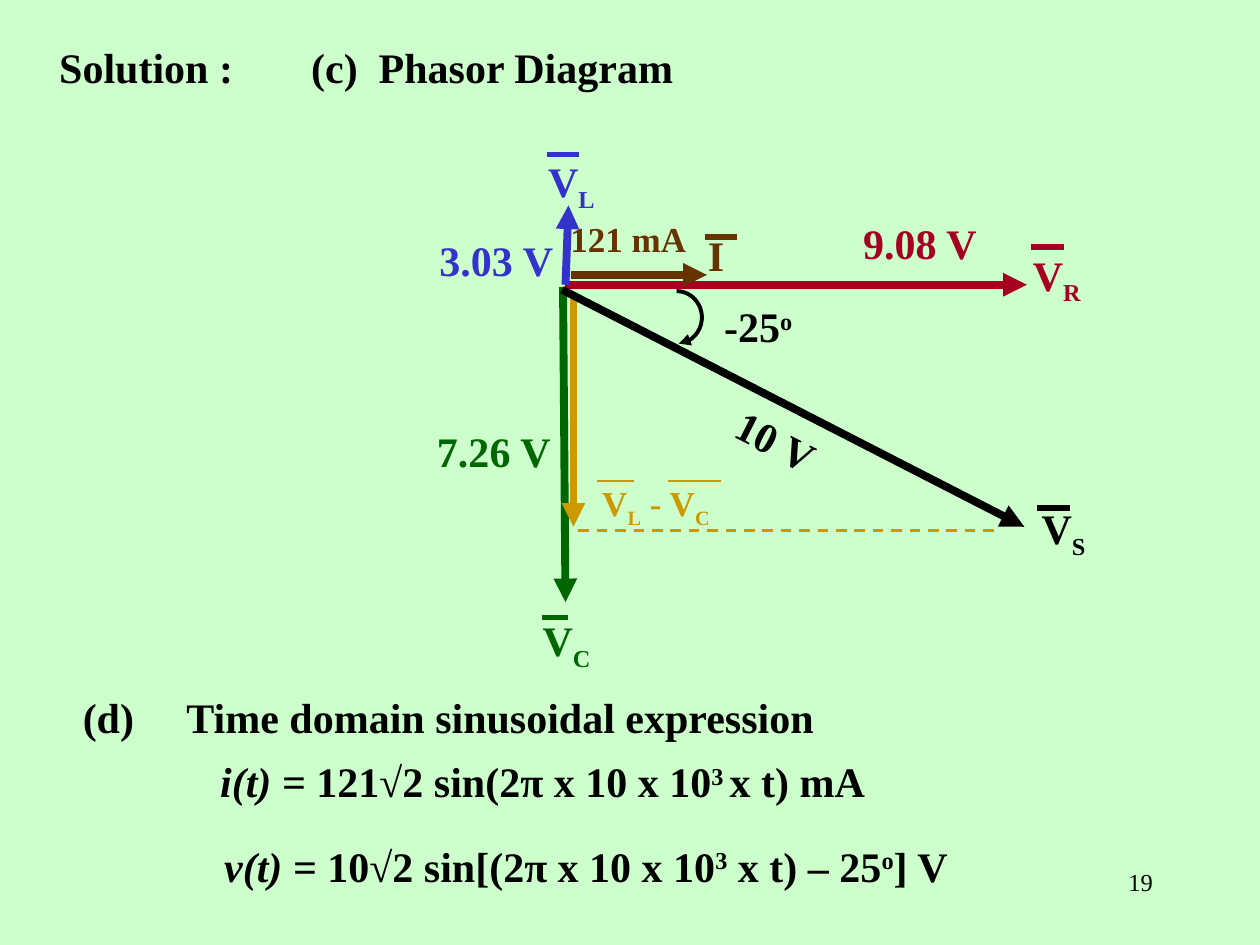
from dataclasses import dataclass
from math import cos, radians, sin
from typing import Optional

from pptx import Presentation
from pptx.dml.color import RGBColor
from pptx.enum.dml import MSO_LINE
from pptx.enum.text import MSO_ANCHOR, PP_ALIGN
from pptx.oxml.ns import qn
from pptx.util import Cm, Pt
from lxml.etree import SubElement

BLACK, RED, GREEN, BLUE = "000000", "A50021", "006600", "3333CC"
BROWN, GOLD = "663300", "CC9900"
SUBSCRIPT, SUPERSCRIPT = -25000, 30000
Place = tuple[float, float, float, float]


@dataclass
class Span:
    text: str
    baseline: int = 0
    italic: bool = False


@dataclass
class Phasor:
    color: str
    arrow: Place
    bar: Place
    name: str
    subscript: str
    name_place: Place
    magnitude: str
    magnitude_place: Place
    magnitude_size: int = 24
    rotation: float = 0


PHASORS = [
    Phasor(RED, (11.38, 5.74, 20.7, 5.74), (20.78, 4.98, 21.44, 4.98),
           "V", "R", (20.57, 4.9, 2.39, 1.6), "9.08 V", (17.15, 4.27, 3.33, 1.27)),
    Phasor(GREEN, (11.35, 5.79, 11.4, 12.14), (10.92, 12.45, 11.46, 12.45),
           "V", "C", (10.69, 12.27, 1.88, 1.63), "7.26 V", (8.56, 8.46, 3.25, 1.27)),
    Phasor(BLUE, (11.4, 5.74, 11.46, 4.14), (11.02, 3.12, 11.68, 3.12),
           "V", "L", (10.8, 3.02, 2.24, 1.63), "3.03 V", (8.61, 4.6, 2.87, 1.27)),
    Phasor(BROWN, (11.51, 5.54, 14.25, 5.54), (14.22, 4.78, 14.86, 4.78),
           "I", "", (14.02, 4.5, 0.97, 1.45), "121 mA", (11.25, 4.27, 3.84, 1.09), 20),
    Phasor(BLACK, (11.33, 5.84, 20.65, 10.62), (20.9, 10.24, 21.56, 10.24),
           "V", "S", (20.75, 10.01, 2.18, 1.45), "10 V", (14.3, 8.66, 4.14, 1.98), 24, 27),
]


def rgb(value: str) -> RGBColor:
    return RGBColor.from_string(value)


def write(box, spans: list[Span], color: str = BLACK, size: int = 24,
          bold: bool = True, align=PP_ALIGN.LEFT, wrap: bool = True) -> None:
    frame = box.text_frame
    frame.word_wrap = wrap
    frame.vertical_anchor = MSO_ANCHOR.TOP
    para = frame.paragraphs[0]
    para.alignment = align
    for span in spans:
        run = para.add_run()
        run.text = span.text
        run.font.name = "Times New Roman"
        run.font.size = Pt(size)
        run.font.bold = bold
        run.font.italic = span.italic
        run.font.color.rgb = rgb(color)
        if span.baseline:
            run.font._element.set("baseline", str(span.baseline))


def add_text(page, place: Place, spans: list[Span], rotation: float = 0, **style):
    box = page.shapes.add_textbox(*map(Cm, place))
    box.rotation = rotation
    write(box, spans, **style)
    return box


def style_line(shape, color: str, width: float, arrow: bool = False,
               dash: Optional[MSO_LINE] = None) -> None:
    shape.line.color.rgb = rgb(color)
    shape.line.width = Pt(width)
    if dash is not None:
        shape.line.dash_style = dash
    if arrow:
        SubElement(shape.line._get_or_add_ln(), qn("a:tailEnd"), type="triangle")


def add_line(page, ends: Place, color: str, width: float, **style) -> None:
    line = page.shapes.add_connector(1, *map(Cm, ends))
    style_line(line, color, width, **style)
    SubElement(line._element.spPr, qn("a:effectLst"))


def add_phasor(page, phasor: Phasor) -> None:
    add_line(page, phasor.arrow, phasor.color, 4.5, arrow=True)
    add_line(page, phasor.bar, phasor.color, 3)
    name = [Span(phasor.name)]
    if phasor.subscript:
        name.append(Span(phasor.subscript, SUBSCRIPT))
    add_text(page, phasor.name_place, name, color=phasor.color)
    add_text(page, phasor.magnitude_place, [Span(phasor.magnitude)],
             rotation=phasor.rotation, color=phasor.color, size=phasor.magnitude_size)


def add_difference(page) -> None:
    add_line(page, (11.56, 5.92, 11.56, 10.62), GOLD, 4.5, arrow=True)
    add_text(page, (11.89, 9.58, 2.77, 1.09),
             [Span("V"), Span("L", SUBSCRIPT), Span(" - V"), Span("C", SUBSCRIPT)],
             color=GOLD, size=20, wrap=False)
    for left, right in ((12.04, 12.78), (13.46, 14.53)):
        add_line(page, (left, 9.7, right, 9.7), GOLD, 1)
    add_line(page, (11.66, 10.69, 20.14, 10.69), GOLD, 1.5, dash=MSO_LINE.DASH)


def add_angle(page) -> None:
    points = [(Cm(13.64 + 0.51 * cos(radians(angle))), Cm(6.4 + 0.53 * sin(radians(angle))))
              for angle in range(-90, 86, 5)]
    builder = page.shapes.build_freeform(*points[0])
    builder.add_line_segments(points[1:], close=False)
    arc = builder.convert_to_shape()
    arc.fill.background()
    arc.shadow.inherit = False
    style_line(arc, BLACK, 2.25, arrow=True)
    add_text(page, (14.35, 5.94, 2.79, 1.37), [Span("-25"), Span("o", SUPERSCRIPT)])


def add_title(page) -> None:
    title = page.shapes.title
    title.left, title.top, title.width, title.height = map(Cm, (0.94, 0.71, 13.44, 1.83))
    properties = title.text_frame.paragraphs[0]._p.get_or_add_pPr()
    stops = SubElement(properties, qn("a:tabLst"))
    for position in (5.08, 6.44):
        SubElement(stops, qn("a:tab"), pos=str(Cm(position)), algn="l")
    write(title, [Span("Solution :\t(c)\tPhasor Diagram")])


def add_expressions(page) -> None:
    add_text(page, (1.42, 13.82, 1.8, 1.27), [Span("(d)")])
    add_text(page, (3.51, 13.82, 13.18, 1.27),
             [Span("Time domain sinusoidal expression")], wrap=False)
    add_text(page, (4.19, 15.11, 13.84, 1.27),
             [Span("i(t) = ", italic=True), Span("121√2 sin(2π x 10 x 10"),
              Span("3 ", SUPERSCRIPT), Span("x t) mA")])
    add_text(page, (4.27, 16.81, 16.84, 1.27),
             [Span("v(t) = ", italic=True), Span("10√2 sin[(2π x 10 x 10"),
              Span("3", SUPERSCRIPT), Span(" x t) – 25"),
              Span("o", SUPERSCRIPT), Span("] V")])


def main() -> None:
    deck = Presentation()
    deck.slide_width, deck.slide_height = Cm(25.4), Cm(19.05)
    page = deck.slides.add_slide(deck.slide_layouts[5])
    page.background.fill.solid()
    page.background.fill.fore_color.rgb = rgb("CCFFCC")
    add_title(page)
    *components, source = PHASORS
    for phasor in components:
        add_phasor(page, phasor)
    add_difference(page)
    add_phasor(page, source)
    add_angle(page)
    add_expressions(page)
    add_text(page, (18.21, 17.35, 5.28, 1.27), [Span("19")],
             size=14, bold=False, align=PP_ALIGN.RIGHT)
    deck.save("out.pptx")


if __name__ == "__main__":
    main()
